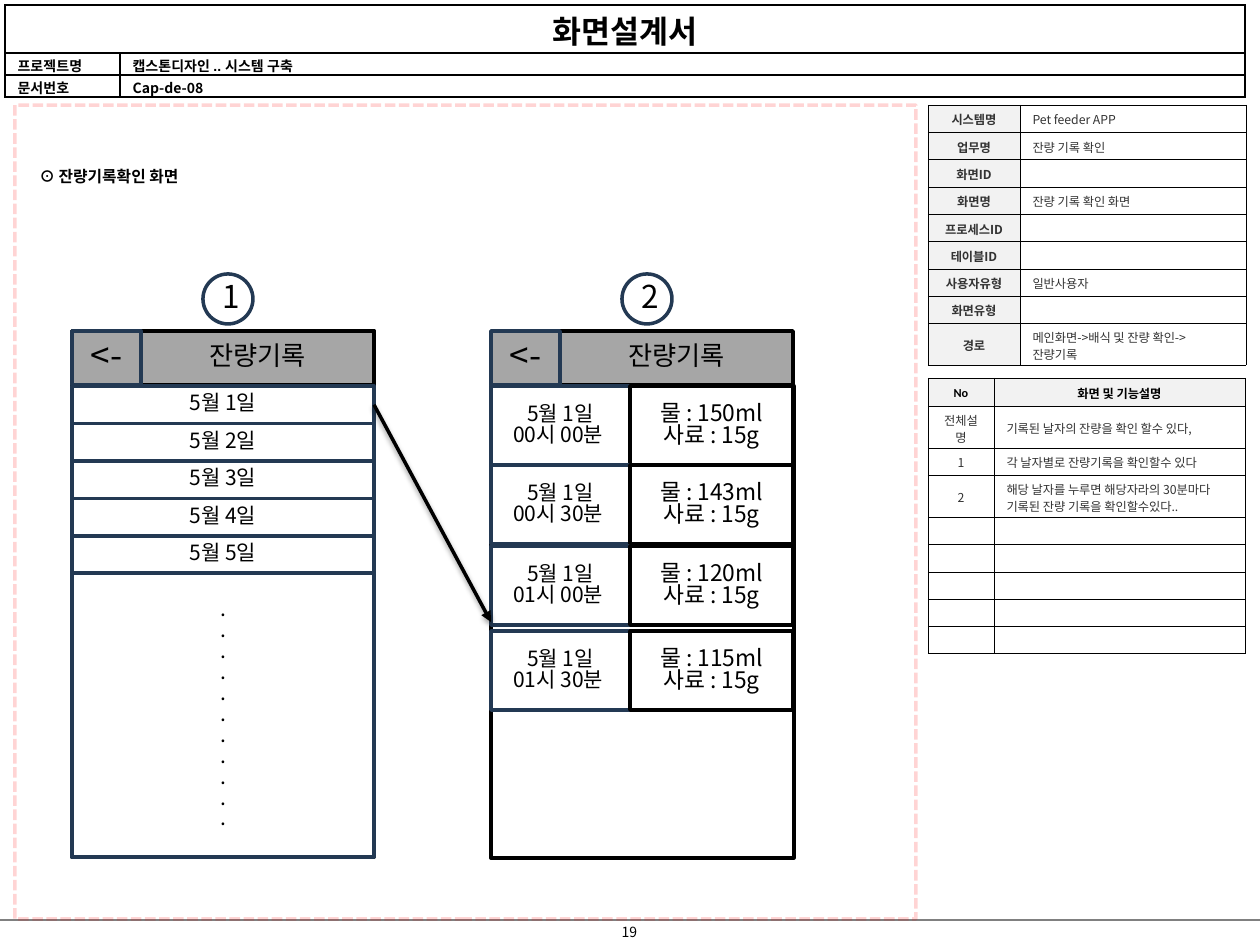
from pptx import Presentation
from pptx.dml.color import RGBColor
from pptx.enum.dml import MSO_LINE
from pptx.enum.shapes import MSO_CONNECTOR, MSO_SHAPE as Kind
from pptx.enum.text import MSO_ANCHOR as Anchor, PP_ALIGN as Align
from pptx.oxml import parse_xml
from pptx.oxml.ns import nsdecls, qn
from pptx.util import Pt
from lxml.etree import SubElement

PX = 914400 / 126
FONT = "Noto Sans CJK KR"
NAVY, BLACK, WHITE = "233953", "000000", "FFFFFF"
GRAY, PALE, INK = "A6A6A6", "F2F2F2", "333333"


def px(n):
    return round(n * PX)


def color(code):
    return RGBColor.from_string(code)


def write(frame, text, size=12, ink=BLACK, bold=False, font=FONT,
          align=Align.CENTER, anchor=Anchor.MIDDLE, space=None):
    """Put text in a frame: a newline starts a paragraph, a \\v breaks a line."""
    frame.word_wrap = True
    frame.vertical_anchor = anchor
    for i, line in enumerate(text.split("\n")):
        par = frame.add_paragraph() if i else frame.paragraphs[0]
        par.text = line
        par.alignment = align
        if space:
            par.line_spacing = space
        for run in par.runs:
            run.font.size, run.font.bold, run.font.name = Pt(size), bold, font
            run.font.color.rgb = color(ink)
            SubElement(run.font._element, qn("a:ea")).set("typeface", FONT)
        if not line:
            SubElement(par._p, qn("a:endParaRPr")).set("sz", str(size * 100))


def edge(cell, width):
    """Give a cell black borders on all four sides."""
    props = cell._tc.get_or_add_tcPr()
    for i, side in enumerate(("lnL", "lnR", "lnT", "lnB")):
        props.insert(i, parse_xml(
            f'<a:{side} {nsdecls("a")} w="{Pt(width)}"><a:solidFill>'
            f'<a:srgbClr val="{BLACK}"/></a:solidFill></a:{side}>'))


class Board:
    """The slide being drawn and the line style its shapes share."""

    def __init__(self, slide, width=2):
        self.shapes = slide.shapes
        self.width = width

    def box(self, x, y, w, h, text="", fill=WHITE, line=BLACK,
            kind=Kind.RECTANGLE, **form):
        shape = self.shapes.add_shape(kind, px(x), px(y), px(w), px(h))
        shape.shadow.inherit = False
        if fill:
            shape.fill.solid()
            shape.fill.fore_color.rgb = color(fill)
        else:
            shape.fill.background()
        shape.line.color.rgb = color(line)
        shape.line.width = Pt(self.width)
        if text:
            write(shape.text_frame, text, space=0.83, **form)
        return shape

    def label(self, x, y, w, h, text, **form):
        box = self.shapes.add_textbox(px(x), px(y), px(w), px(h))
        write(box.text_frame, text, anchor=Anchor.TOP, **form)

    def line(self, x1, y1, x2, y2, ink=BLACK, width=2):
        line = self.shapes.add_connector(
            MSO_CONNECTOR.STRAIGHT, px(x1), px(y1), px(x2), px(y2))
        line.line.color.rgb = color(ink)
        line.line.width = Pt(width)
        SubElement(line._element.spPr, qn("a:effectLst"))
        return line

    def arrow(self, start, end):
        """Join the right side of one box to the left side of another."""
        line = self.line(0, 0, 0, 0)
        line.begin_connect(start, 3)
        line.end_connect(end, 1)
        SubElement(line.line._get_or_add_ln(), qn("a:tailEnd")).set("type", "triangle")
        line._element.spPr.find(qn("a:effectLst")).append(parse_xml(
            f'<a:outerShdw {nsdecls("a")} blurRad="{Pt(3.1)}" dist="{Pt(1.6)}" '
            f'dir="5400000"><a:srgbClr val="{BLACK}"><a:alpha val="38000"/>'
            '</a:srgbClr></a:outerShdw>'))

    def table(self, x, y, cols, rows, texts, look, width=0.25, pads=(5, 3)):
        """Draw a table; look(row, col) gives a cell's fill and text format."""
        grid = self.shapes.add_table(len(rows), len(cols), px(x), px(y),
                                     px(sum(cols)), px(sum(rows))).table
        grid.first_row = grid.horz_banding = False
        for col, w in zip(grid.columns, cols):
            col.width = px(w)
        for r, h in enumerate(rows):
            grid.rows[r].height = px(h)
            for c, text in enumerate(texts[r]):
                cell = grid.cell(r, c)
                fill, form = look(r, c)
                cell.margin_top, cell.margin_bottom = map(px, pads)
                write(cell.text_frame, text, **form)
                cell.vertical_anchor = form.get("anchor", Anchor.MIDDLE)
                if fill:
                    cell.fill.solid()
                    cell.fill.fore_color.rgb = color(fill)
                else:
                    cell.fill.background()
                edge(cell, width)
        return grid

    def phone(self, x, number):
        """Draw the numbered top bar of one app screen."""
        self.box(x + 69, 331, 233, 54, "잔량기록", GRAY, size=15)
        self.box(x, 331, 69, 54, "<-", GRAY, NAVY, size=20)
        self.box(x + 131, 274, 50, 50, number, line=NAVY, kind=Kind.OVAL, size=18)


def head(r, c):
    if r == 0:
        return WHITE, dict(size=18, bold=True)
    return WHITE, dict(size=8, bold=True, align=Align.LEFT, anchor=Anchor.TOP,
                       font=FONT if (r, c) == (2, 1) else "Arial")


def facts(r, c):
    return (None if c else PALE), dict(
        size=7, ink=INK, bold=c == 0, align=Align.LEFT if c else Align.CENTER)


def notes(r, c):
    if r == 0:
        return PALE, dict(size=7, bold=True, font="Arial" if c else "Calibri")
    return None, dict(size=7, ink=INK, align=Align.LEFT if c else Align.CENTER)


def main():
    deck = Presentation()
    deck.slide_width, deck.slide_height = px(1260), px(945)
    board = Board(deck.slides.add_slide(deck.slide_layouts[6]))

    board.line(0, 920, 1260, 920, "808080", 0.75)
    board.label(595, 917, 69, 30, "19", size=8)
    grid = board.table(5, 5, (115, 1125), (48, 22, 22), (
        ("화면설계서", ""), ("프로젝트명", "캡스톤디자인 .. 시스템 구축"),
        ("문서번호", "Cap-de-08")), head, width=1, pads=(2, 0))
    grid.cell(0, 0).merge(grid.cell(0, 1))
    zone = board.box(15, 105, 901, 814, fill=None, line="FF0000")
    zone.line.dash_style = MSO_LINE.SQUARE_DOT
    tint = zone.line._get_or_add_ln().find(".//" + qn("a:srgbClr"))
    SubElement(tint, qn("a:alpha")).set("val", "16000")
    board.label(27, 161, 476, 32, "⊙ 잔량기록확인 화면", size=9, bold=True,
                align=Align.LEFT)

    left, right, top = 72, 491, 386
    board.box(left, 331, 302, 526)
    board.phone(left, "1")
    days = [board.box(left, top + i * 37.5, 302, 37.5, f"5월 {i + 1}일", line=NAVY)
            for i in range(5)]
    board.box(left, 573, 302, 284, "\n".join("." * 11), line=NAVY)

    frame = board.box(right, top, 303, 472)
    board.phone(right, "2")
    cards = ((386, "00시 00분", 150), (465, "00시 30분", 143),
             (546, "01시 00분", 120), (631, "01시 30분", 115))
    for y, time, water in cards:
        board.box(right, y, 139, 79, f"5월 1일\n{time} ", line=NAVY)
        board.box(right + 139, y, 163, 79, f"물 : {water}ml\v사료 : 15g", size=13)
    board.arrow(days[0], frame)

    row, tall = 27.3, 42
    board.table(928, 378, (66, 251), (28, tall, row, tall) + (row,) * 5, (
        ("No", "화면 및 기능설명"),
        ("전체설명", "기록된 날자의 잔량을 확인 할수 있다,"),
        ("1", "각 날자별로 잔량기록을 확인할수 있다"),
        ("2", "해당 날자를 누루면 해당자라의 30분마다 기록된 잔량 기록을 확인할수있다..")
    ) + (("", ""),) * 5, notes)
    board.table(928, 105, (92, 226), (row,) * 8 + (tall,), (
        ("시스템명", "Pet feeder APP"), ("업무명", "잔량 기록 확인"),
        ("화면ID", ""), ("화면명", "잔량 기록 확인 화면"), ("프로세스ID", ""),
        ("테이블ID", ""), ("사용자유형", "일반사용자"), ("화면유형", ""),
        ("경로", "메인화면->배식 및 잔량 확인->\n잔량기록")), facts)
    deck.save("out.pptx")


if __name__ == "__main__":
    main()
